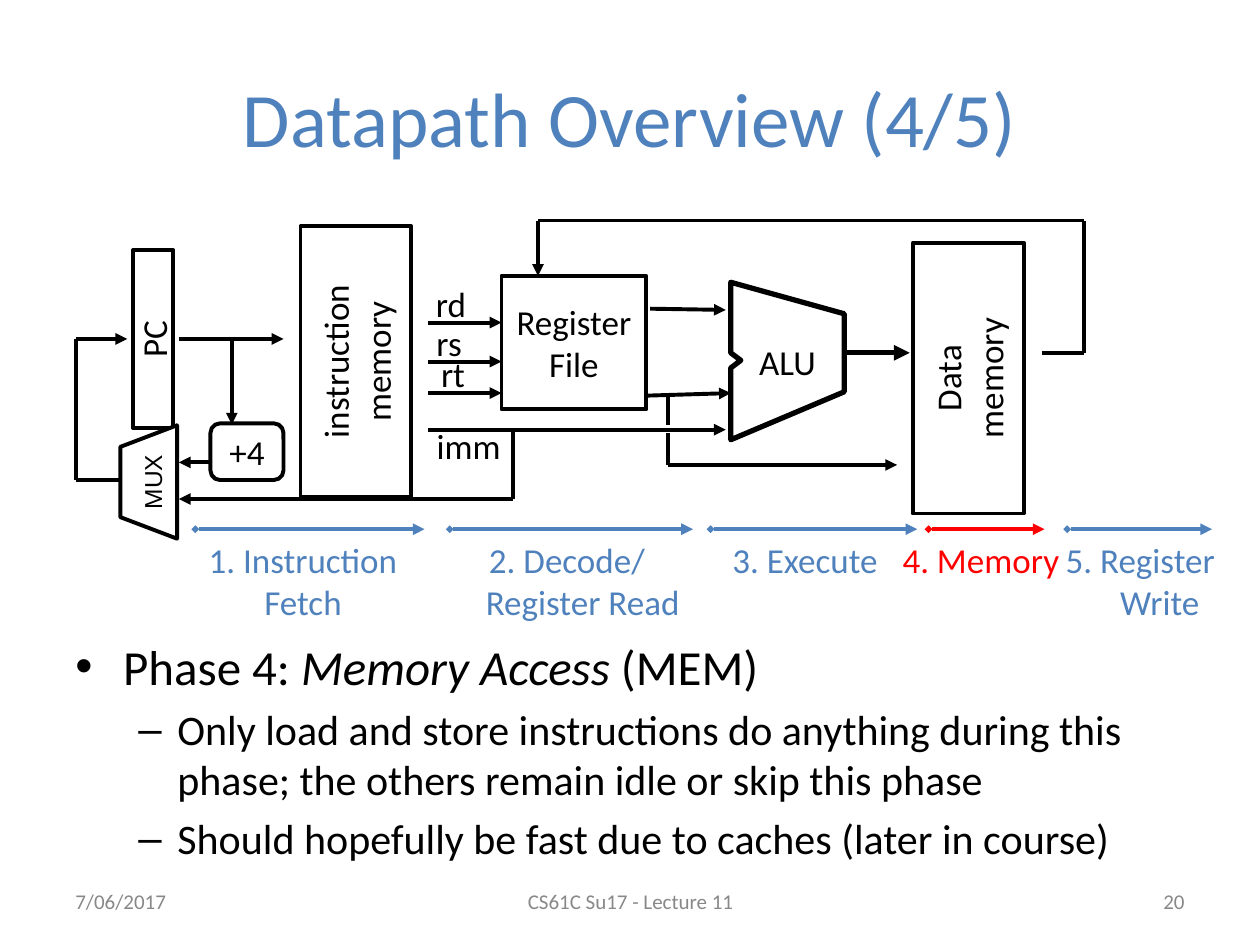
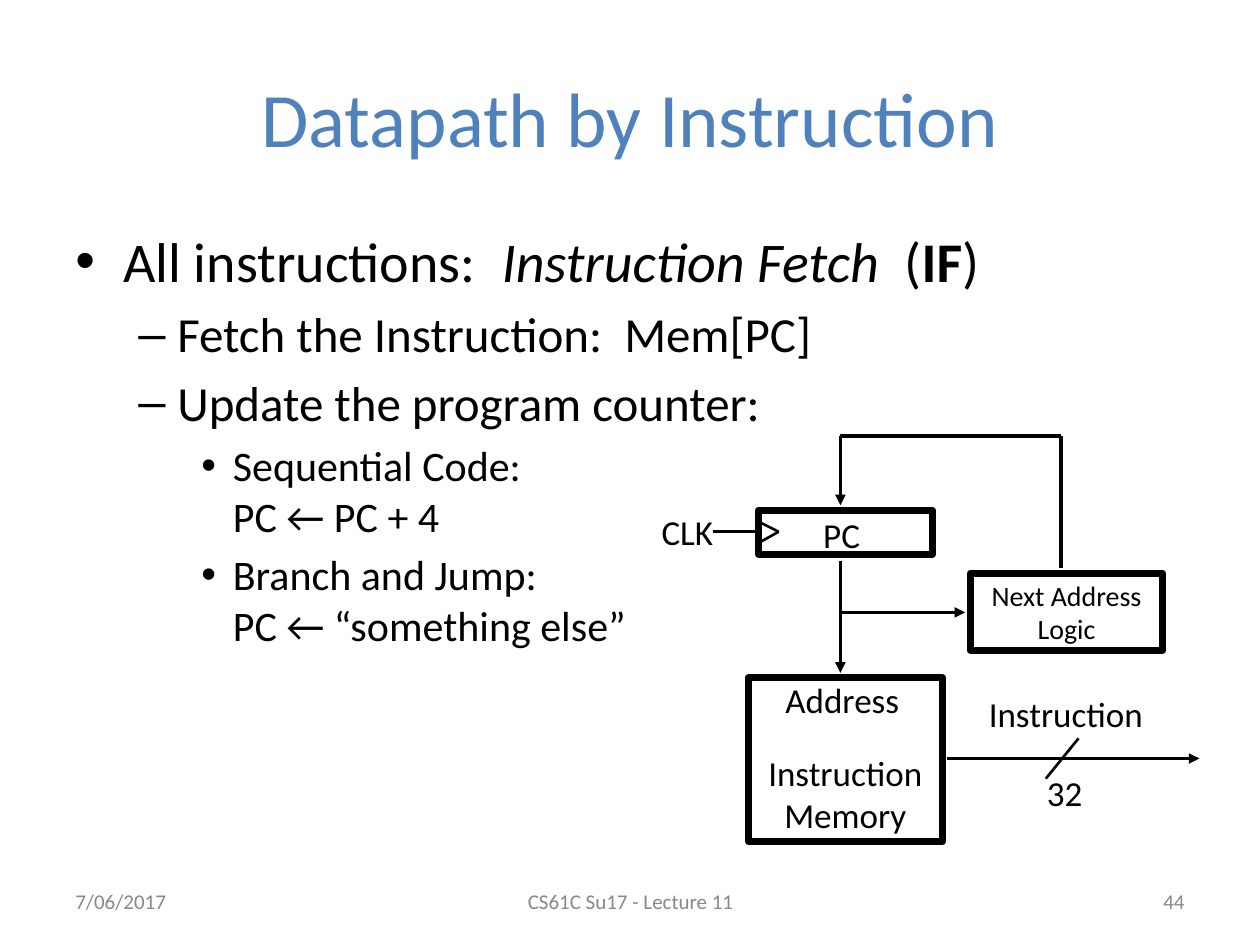
"""Build two lecture slides on the processor datapath."""
from dataclasses import dataclass
from itertools import pairwise

import lxml.etree
import pptx
import pptx.dml.color
import pptx.enum.shapes
import pptx.enum.text
import pptx.oxml.ns
import pptx.presentation
import pptx.shapes.autoshape
import pptx.slide
import pptx.text.text
import pptx.util
from pptx.util import Inches

SHAPE = pptx.enum.shapes.MSO_SHAPE
ALIGN = pptx.enum.text.PP_ALIGN
ANCHOR = pptx.enum.text.MSO_ANCHOR


@dataclass(frozen=True)
class Theme:
    font: str = "Calibri"
    mux_font: str = "Arial"
    ink: str = "000000"
    paper: str = "FFFFFF"
    accent: str = "4F81BD"
    active: str = "FF0000"
    muted: str = "888888"
    title: float = 44
    label: float = 20
    small: float = 16
    mux: float = 14
    footer: float = 12
    wire: float = 2.25
    thick: float = 3
    frame: float = 4
    thin: float = 2
    tick: float = 1.5


T = Theme()


@dataclass(frozen=True)
class Box:
    left: float
    top: float
    width: float
    height: float
    text: str = ""
    rotation: float = 0
    kind: SHAPE = SHAPE.RECTANGLE
    adjust: float | None = None
    line: float = T.wire
    size: float = T.label
    font: str = T.font


@dataclass(frozen=True)
class Label:
    text: str
    left: float
    top: float
    width: float
    height: float
    size: float = T.label
    color: str = T.ink
    align: ALIGN = ALIGN.CENTER
    last_indent: float = 0
    inset: float = 0


@dataclass(frozen=True)
class Wire:
    points: tuple[tuple[float, float], ...]
    arrow: bool = True
    width: float = T.wire
    color: str = T.ink
    diamond: bool = False


@dataclass(frozen=True)
class Phase:
    start: float
    end: float
    label: Label


@dataclass(frozen=True)
class Bullet:
    level: int
    size: float
    runs: tuple[tuple[str, str], ...]


@dataclass(frozen=True)
class Level:
    mark: str
    margin: float
    hang: float


LEVELS = (Level("•", 0.38, 0.38), Level("–", 0.81, 0.31), Level("•", 1.25, 0.25))


def rgb(color: str) -> pptx.dml.color.RGBColor:
    return pptx.dml.color.RGBColor.from_string(color)


def add_xml(parent: lxml.etree._Element, tag: str, **attrs: str) -> lxml.etree._Element:
    return lxml.etree.SubElement(parent, pptx.oxml.ns.qn(tag), attrs)


def style_run(r: pptx.text.text._Run, size: float, color: str = T.ink, font: str = T.font) -> None:
    r.font.size = pptx.util.Pt(size)
    r.font.name = font
    r.font.color.rgb = rgb(color)


def fill_text(tf: pptx.text.text.TextFrame, text: str, size: float, color: str = T.ink,
              align: ALIGN = ALIGN.CENTER, inset: float = 0, font: str = T.font) -> None:
    tf.text = text
    tf.word_wrap = True
    tf.vertical_anchor = ANCHOR.MIDDLE
    tf.margin_left = tf.margin_right = Inches(inset)
    tf.margin_top = tf.margin_bottom = 0
    for p in tf.paragraphs:
        p.alignment = align
        for r in p.runs:
            style_run(r, size, color, font)


def outline(sp: pptx.shapes.autoshape.Shape, width: float) -> None:
    sp.shadow.inherit = False
    sp.fill.solid()
    sp.fill.fore_color.rgb = rgb(T.paper)
    sp.line.color.rgb = rgb(T.ink)
    sp.line.width = pptx.util.Pt(width)


def draw_box(s: pptx.slide.Slide, box: Box) -> None:
    sp = s.shapes.add_shape(box.kind, Inches(box.left), Inches(box.top),
                            Inches(box.width), Inches(box.height))
    if box.adjust is not None:
        sp.adjustments[0] = box.adjust
    sp.rotation = box.rotation
    outline(sp, box.line)
    if box.text:
        fill_text(sp.text_frame, box.text, box.size, font=box.font)


def draw_label(s: pptx.slide.Slide, label: Label) -> None:
    sp = s.shapes.add_textbox(Inches(label.left), Inches(label.top),
                              Inches(label.width), Inches(label.height))
    tf = sp.text_frame
    fill_text(tf, label.text, label.size, label.color, label.align, label.inset)
    if label.last_indent:
        tf.paragraphs[-1]._p.get_or_add_pPr().set("marL", str(Inches(label.last_indent)))


def draw_wire(s: pptx.slide.Slide, wire: Wire) -> None:
    segments = list(pairwise(wire.points))
    for i, (start, end) in enumerate(segments):
        cx = s.shapes.add_connector(pptx.enum.shapes.MSO_CONNECTOR.STRAIGHT,
                                    *map(Inches, start), *map(Inches, end))
        cx.line.color.rgb = rgb(wire.color)
        cx.line.width = pptx.util.Pt(wire.width)
        ln = cx.line._get_or_add_ln()
        if wire.diamond and i == 0:
            add_xml(ln, "a:headEnd", type="diamond", w="sm", len="sm")
        if wire.arrow and i == len(segments) - 1:
            add_xml(ln, "a:tailEnd", type="triangle")
        add_xml(cx._element.spPr, "a:effectLst")


def draw_phase(s: pptx.slide.Slide, phase: Phase) -> None:
    draw_label(s, phase.label)
    draw_wire(s, Wire(((phase.start, 4.2), (phase.end, 4.2)), color=phase.label.color, diamond=True))


def draw_bullets(s: pptx.slide.Slide, top: float, height: float, bullets: tuple[Bullet, ...]) -> None:
    tf = s.shapes.add_textbox(Inches(0.5), Inches(top), Inches(9), Inches(height)).text_frame
    tf.word_wrap = True
    for i, bullet in enumerate(bullets):
        p = tf.add_paragraph() if i else tf.paragraphs[0]
        level = LEVELS[bullet.level]
        p.level = bullet.level
        if i:
            p.space_before = pptx.util.Pt(bullet.size * 0.2)
        pPr = p._p.get_or_add_pPr()
        pPr.set("marL", str(Inches(level.margin)))
        pPr.set("indent", str(-Inches(level.hang)))
        add_xml(add_xml(pPr, "a:buClr"), "a:srgbClr", val=T.ink)
        add_xml(pPr, "a:buFont", typeface="Arial")
        add_xml(pPr, "a:buChar", char=level.mark)
        if len(bullet.runs) == 1:
            p.text = bullet.runs[0][0]
        else:
            for text, _ in bullet.runs:
                p.add_run().text = text
        styles = [style for _, style in bullet.runs]
        for j, r in enumerate(p.runs):
            style = styles[min(j, len(styles) - 1)]
            style_run(r, bullet.size)
            r.font.italic = style == "italic"
            r.font.bold = style == "bold"


def new_slide(prs: pptx.presentation.Presentation, title: str, number: str) -> pptx.slide.Slide:
    s = prs.slides.add_slide(prs.slide_layouts[5])
    sp = s.shapes.title
    sp.left, sp.top, sp.width, sp.height = map(Inches, (0.5, 0.3, 9, 1.25))
    fill_text(sp.text_frame, title, T.title, T.accent, inset=0.1)
    for text, left, width, align in (("7/06/2017", 0.5, 2.33, ALIGN.LEFT),
                                     ("CS61C Su17 - Lecture 11", 3.42, 3.17, ALIGN.CENTER),
                                     (number, 7.17, 2.33, ALIGN.RIGHT)):
        draw_label(s, Label(text, left, 6.95, width, 0.4, T.footer, T.muted, align, inset=0.1))
    return s


def draw_alu(s: pptx.slide.Slide) -> None:
    corners = [(Inches(x), Inches(y)) for x, y in (
        (5.8, 2.24), (6.7, 2.49), (6.7, 3.11), (5.8, 3.49), (5.8, 2.92), (5.88, 2.86), (5.8, 2.8))]
    fb = s.shapes.build_freeform(*corners[0])
    fb.add_line_segments(corners[1:], close=True)
    sp = fb.convert_to_shape()
    outline(sp, T.thick)
    fill_text(sp.text_frame, "ALU", T.label)


def overview_slide(prs: pptx.presentation.Presentation) -> None:
    s = new_slide(prs, "Datapath Overview (4/5)", "20")
    draw_bullets(s, 5, 2.1, (
        Bullet(0, 28, (("Phase 4: ", ""), ("Memory Access", "italic"), (" (MEM)", ""))),
        Bullet(1, 24, (("Only load and store instructions do anything during this phase; "
                        "the others remain idle or skip this phase", ""),)),
        Bullet(1, 24, (("Should hopefully be fast due to caches (later in course)", ""),))))
    for phase in (
            Phase(1.55, 3.37, Label("1. Instruction\nFetch", 1.55, 4.22, 1.71, 0.77, color=T.accent)),
            Phase(3.57, 5.5, Label("2. Decode/\nRegister Read", 3.5, 4.22, 2, 0.77, color=T.accent, last_indent=0.25)),
            Phase(5.64, 7.28, Label("3. Execute", 5.71, 4.22, 1.36, 0.44, color=T.accent)),
            Phase(7.37, 8.29, Label("4. Memory", 7.06, 4.22, 1.45, 0.44, color=T.active)),
            Phase(8.47, 9.62, Label("5. Register\nWrite", 8.35, 4.22, 1.4, 0.77, color=T.accent, last_indent=0.31))):
        draw_phase(s, phase)
    for box in (Box(0.51, 2.53, 1.41, 0.32, "PC", 270),
                Box(1.75, 2.43, 2.15, 0.88, "instruction\nmemory", 270),
                Box(1.67, 3.36, 0.58, 0.45, "+4", kind=SHAPE.ROUNDED_RECTANGLE, adjust=0.17),
                Box(3.98, 2.19, 1.15, 1.06, "Register\nFile"),
                Box(6.61, 2.56, 2.15, 0.88, "Data\nmemory", 270),
                Box(0.73, 3.6, 0.9, 0.45, "MUX", 270, SHAPE.TRAPEZOID, 0.38, size=T.mux, font=T.mux_font)):
        draw_box(s, box)
    for wire in (Wire(((1.42, 2.69), (2.25, 2.69))),
                 *(Wire(((3.4, y), (3.98, y))) for y in (2.56, 2.87, 3.12)),
                 Wire(((6.7, 2.8), (7.22, 2.8)), width=T.thick),
                 Wire(((5.14, 3.14), (5.8, 3.12))),
                 Wire(((3.4, 3.41), (5.76, 3.41))),
                 Wire(((5.16, 2.45), (5.76, 2.46))),
                 Wire(((5.3, 3.12), (5.3, 3.37)), arrow=False),
                 Wire(((5.3, 3.44), (5.3, 3.69), (7.12, 3.69))),
                 Wire(((8.27, 2.8), (8.6, 2.8), (8.6, 1.75), (4.27, 1.75), (4.27, 2.19))),
                 Wire(((1.84, 2.69), (1.84, 3.37))),
                 Wire(((1.67, 3.67), (1.42, 3.67))),
                 Wire(((4.07, 3.41), (4.07, 3.96), (1.42, 3.96))),
                 Wire(((0.95, 3.81), (0.6, 3.81), (0.6, 2.69), (1.01, 2.69)))):
        draw_wire(s, wire)
    for text, left, top, width in (("rd", 3.36, 2.24, 0.44), ("rs", 3.35, 2.55, 0.43),
                                   ("rt", 3.37, 2.8, 0.45), ("imm", 3.36, 3.37, 0.72)):
        draw_label(s, Label(text, left, top, width, 0.33))
    draw_alu(s)


def fetch_slide(prs: pptx.presentation.Presentation) -> None:
    s = new_slide(prs, "Datapath by Instruction", "44")
    draw_bullets(s, 1.75, 5.15, (
        Bullet(0, 32, (("All instructions:  ", ""), ("Instruction Fetch", "italic"),
                       ("  (", ""), ("IF", "bold"), (")", ""))),
        Bullet(1, 28, (("Fetch the Instruction:  Mem[PC]", ""),)),
        Bullet(1, 28, (("Update the program counter:", ""),)),
        Bullet(2, 24, (("Sequential Code:\vPC ← PC + 4", ""),)),
        Bullet(2, 24, (("Branch and Jump:\vPC ← “something else”", ""),))))
    for box in (Box(7.7, 4.55, 1.53, 0.61, "Next Address\nLogic", line=T.frame, size=T.small),
                Box(5.94, 5.38, 1.54, 1.3, line=T.frame),
                Box(6.02, 4.05, 1.38, 0.35, line=T.frame)):
        draw_box(s, box)
    for wire in (Wire(((6.68, 4.86), (7.66, 4.86)), width=T.thin),
                 Wire(((8.42, 4.51), (8.42, 3.46), (6.67, 3.46), (6.67, 4.01)), width=T.thin),
                 Wire(((7.52, 6.02), (9.52, 6.02)), width=T.thin),
                 Wire(((8.56, 5.86), (8.3, 6.18)), False, T.tick),
                 Wire(((6.02, 4.22), (5.66, 4.22)), False, T.thin),
                 Wire(((6.67, 4.45), (6.67, 5.34)), width=T.thin),
                 Wire(((6.02, 4.14), (6.18, 4.22), (6.02, 4.31)), False, T.tick)):
        draw_wire(s, wire)
    for label in (Label("32", 8.21, 6.07, 0.48, 0.44),
                  Label("Instruction", 7.74, 5.45, 1.44, 0.43),
                  Label("Address", 6.11, 5.34, 1.15, 0.43),
                  Label("Instruction\nMemory", 5.98, 5.91, 1.46, 0.77),
                  Label("PC", 6.43, 4.02, 0.5, 0.44),
                  Label("CLK", 5.15, 4, 0.61, 0.43)):
        draw_label(s, label)


def main() -> None:
    prs = pptx.Presentation()
    prs.slide_width, prs.slide_height = Inches(10), Inches(7.5)
    overview_slide(prs)
    fetch_slide(prs)
    prs.save("out.pptx")


if __name__ == "__main__":
    main()
